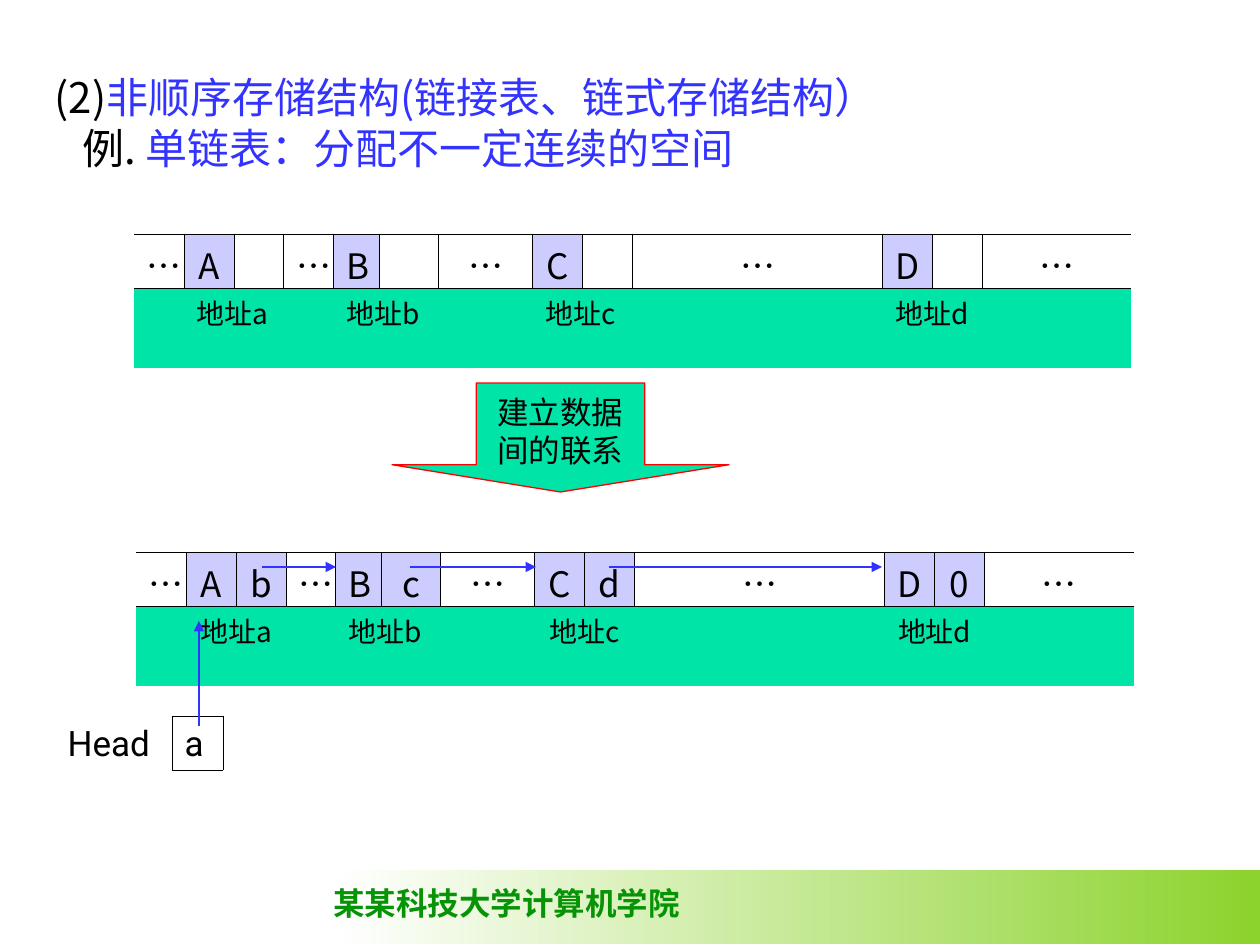
from lxml import etree
from pptx import Presentation
from pptx.dml.color import RGBColor
from pptx.enum.shapes import MSO_CONNECTOR, MSO_SHAPE
from pptx.enum.text import MSO_ANCHOR, MSO_AUTO_SIZE, PP_ALIGN
from pptx.oxml.ns import qn
from pptx.util import Pt

LEFT, MID = PP_ALIGN.LEFT, PP_ALIGN.CENTER
TOP, CORE = MSO_ANCHOR.TOP, MSO_ANCHOR.MIDDLE
FIXED = MSO_AUTO_SIZE.NONE
RECT, DOWN = MSO_SHAPE.RECTANGLE, MSO_SHAPE.DOWN_ARROW
STRAIGHT = MSO_CONNECTOR.STRAIGHT

PX = 914400 // 126
THEME = {
    "ink": "000000", "blue": "3333FF", "node": "CCCCFF", "mint": "00E4A8",
    "red": "FF0000", "green": "069406", "pale": "FFFFFF", "lime": "8CD32D",
    "sans": "Noto Sans CJK SC", "rule": 0.45, "edge": 0.75,
}
STYLES = {
    "title": {"size": Pt(24), "name": THEME["sans"]},
    "cell": {"size": Pt(20), "name": THEME["sans"]},
    "addr": {"size": Pt(16), "name": THEME["sans"]},
    "head": {"size": Pt(20), "name": "Roboto"},
    "step": {"size": Pt(18), "name": "Arial"},
    "foot": {"size": Pt(18), "name": "Times New Roman", "bold": True},
}

TITLE = [
    (0, [("(2)", "ink"), ("非顺序存储结构(链接表、链式存储结构）", "blue")]),
    (28, [("例. ", "ink"), ("单链表：分配不一定连续的空间", "blue")]),
]
STEP = ["建立数据", "间的联系"]
FOOT = "某某科技大学计算机学院"
COLS = [50, 50, 50, 50, 46, 59, 94, 50, 50, 250, 50, 50, 149]
ROWS = [54, 80]
NODES = {1: ("A", "a"), 4: ("B", "b"), 7: ("C", "c"), 10: ("D", "d")}
GAPS = [0, 3, 6, 9, 12]
MEMORY = [
    {"at": (134, 234), "links": {}, "mid": ""},
    {"at": (136, 552), "links": {2: "b", 5: "c", 8: "d", 11: "0"}, "mid": "acd"},
]
HEAD = ["Head", "a"]
ARROWS = [
    (262, 567, 336, 567), (410, 567, 536, 567),
    (609, 567, 882, 567), (199, 726, 199, 621),
]


def color(key):
    return RGBColor.from_string(THEME[key])


def box(*sides):
    return [side * PX for side in sides]


def apply(item, values):
    for key, value in values.items():
        setattr(item, key, value)


def write(para, text, style, ink="ink", align=LEFT):
    para.alignment = align
    run = para.add_run()
    run.text = text
    apply(run.font, STYLES[style])
    run.font.color.rgb = color(ink)
    etree.SubElement(run.font._element, qn("a:ea"), typeface=THEME["sans"])


def border(cell, sides):
    props = cell._tc.get_or_add_tcPr()
    for side in "LRTB":
        line = etree.SubElement(props, qn(f"a:ln{side}"), w=str(Pt(THEME["rule"])))
        if side in sides:
            fill = etree.SubElement(line, qn("a:solidFill"))
            etree.SubElement(fill, qn("a:srgbClr"), val=THEME["ink"])
        else:
            etree.SubElement(line, qn("a:noFill"))


def paint(cell, fill, sides, top):
    border(cell, sides)
    if fill:
        cell.fill.solid()
        cell.fill.fore_color.rgb = color(fill)
    else:
        cell.fill.background()
    apply(cell, {"margin_top": top * PX, "margin_bottom": 0})


def grid(slide, at, cols, rows):
    frame = slide.shapes.add_table(
        len(rows), len(cols), *box(*at, sum(cols), sum(rows)))
    table = frame.table
    apply(table, {"first_row": False, "horz_banding": False})
    for col, width in zip(table.columns, cols):
        col.width = width * PX
    for row, height in zip(table.rows, rows):
        row.height = height * PX
    return table


def draw_memory(slide, at, links, mid):
    table = grid(slide, at, COLS, ROWS)
    texts = {gap: "…" for gap in GAPS} | links
    texts |= {col: name for col, (name, _) in NODES.items()}
    last = len(COLS) - 1
    for col in range(len(COLS)):
        upper, lower = table.cell(0, col), table.cell(1, col)
        fill = "node" if col in NODES or col in links else None
        paint(upper, fill, {0: "RTB", last: "LTB"}.get(col, "LRTB"), 5)
        paint(lower, "mint", "T", 4)
        if col in texts:
            write(upper.text_frame.paragraphs[0], texts[col], "cell", align=MID)
    for col, (_, name) in NODES.items():
        cell = table.cell(1, col)
        cell.merge(table.cell(1, col + 1))
        align = MID if name in mid else LEFT
        write(cell.text_frame.paragraphs[0], "地址" + name, "addr", align=align)


def draw_head(slide):
    table = grid(slide, (55, 716), [117, 51], [54])
    for col, (text, sides) in enumerate(zip(HEAD, ["R", "LRTB"])):
        cell = table.cell(0, col)
        paint(cell, None, sides, 8)
        write(cell.text_frame.paragraphs[0], text, "head")


def draw_arrow(slide, ends):
    arrow = slide.shapes.add_connector(STRAIGHT, *box(*ends))
    arrow.line.color.rgb = color("blue")
    arrow.line.width = Pt(THEME["edge"])
    etree.SubElement(arrow.line._get_or_add_ln(), qn("a:tailEnd"), type="triangle")
    etree.SubElement(arrow._element.spPr, qn("a:effectLst"))


def draw_title(slide):
    title = slide.shapes.title
    apply(title, dict(zip(("left", "top", "width", "height"), box(42, 71, 1176, 144))))
    frame = title.text_frame
    apply(frame, {"vertical_anchor": TOP, "auto_size": FIXED,
                  "word_wrap": True, "margin_top": PX})
    for num, (indent, runs) in enumerate(TITLE):
        para = frame.add_paragraph() if num else frame.paragraphs[0]
        para.space_before = Pt(0)
        para._p.get_or_add_pPr().set("marL", str(indent * PX))
        for text, ink in runs:
            write(para, text, "title", ink)


def draw_step(slide):
    step = slide.shapes.add_shape(DOWN, *box(392, 383, 337, 109))
    step.shadow.inherit = False
    step.adjustments[0], step.adjustments[1] = 0.5, 0.25
    step.fill.solid()
    step.fill.fore_color.rgb = color("mint")
    step.line.color.rgb = color("red")
    step.line.width = Pt(THEME["edge"])
    frame = step.text_frame
    apply(frame, {"vertical_anchor": CORE, "word_wrap": False})
    for num, text in enumerate(STEP):
        para = frame.add_paragraph() if num else frame.paragraphs[0]
        write(para, text, "step", align=MID)


def draw_foot(slide):
    band = slide.shapes.add_shape(RECT, *box(336, 870, 924, 74))
    band.shadow.inherit = False
    band.line.fill.background()
    band.fill.gradient()
    band.fill.gradient_angle = 0
    for stop, key in zip(band.fill.gradient_stops, ("pale", "lime")):
        stop.color.rgb = color(key)
    label = slide.shapes.add_textbox(*box(321, 878, 372, 50))
    label.text_frame.word_wrap = False
    write(label.text_frame.paragraphs[0], FOOT, "foot", "green")


def main():
    deck = Presentation()
    deck.slide_width, deck.slide_height = box(1260, 945)
    slide = deck.slides.add_slide(deck.slide_layouts[5])
    draw_foot(slide)
    draw_title(slide)
    for block in MEMORY:
        draw_memory(slide, **block)
    draw_head(slide)
    for ends in ARROWS:
        draw_arrow(slide, ends)
    draw_step(slide)
    deck.save("out.pptx")


if __name__ == "__main__":
    main()
